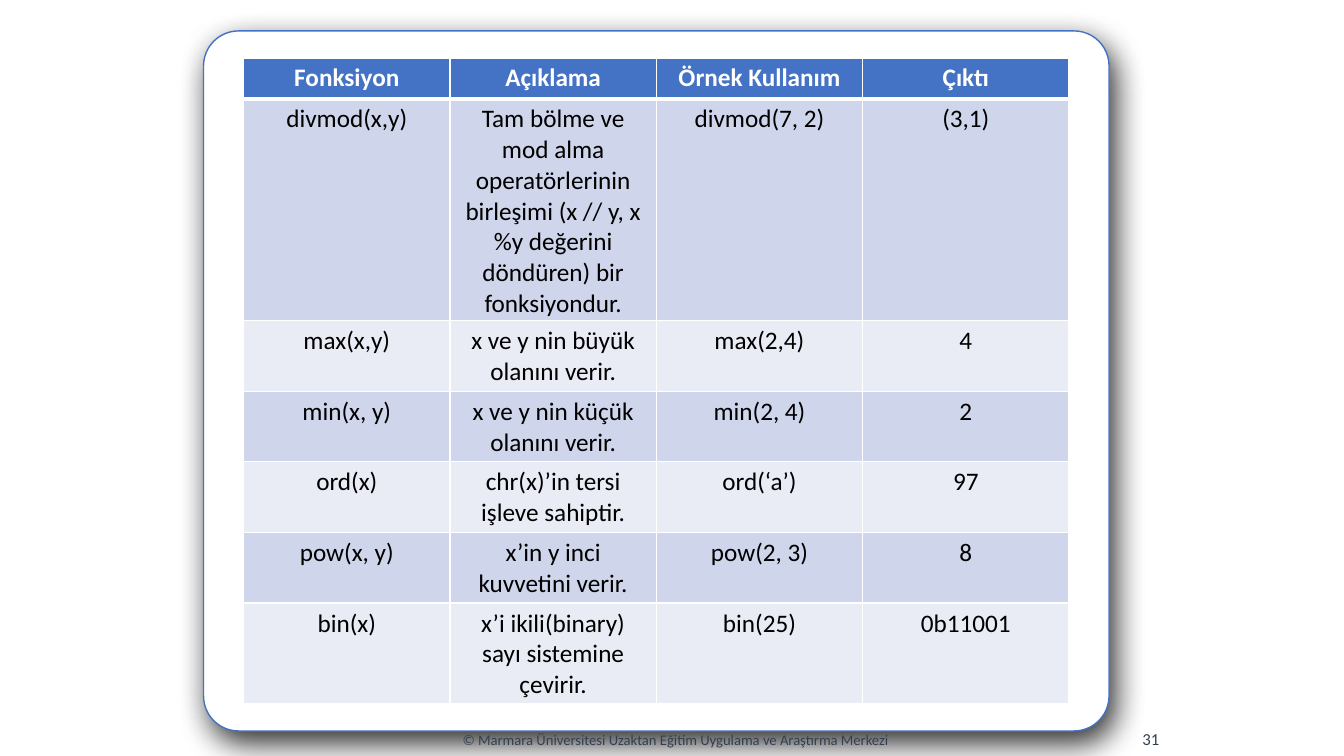
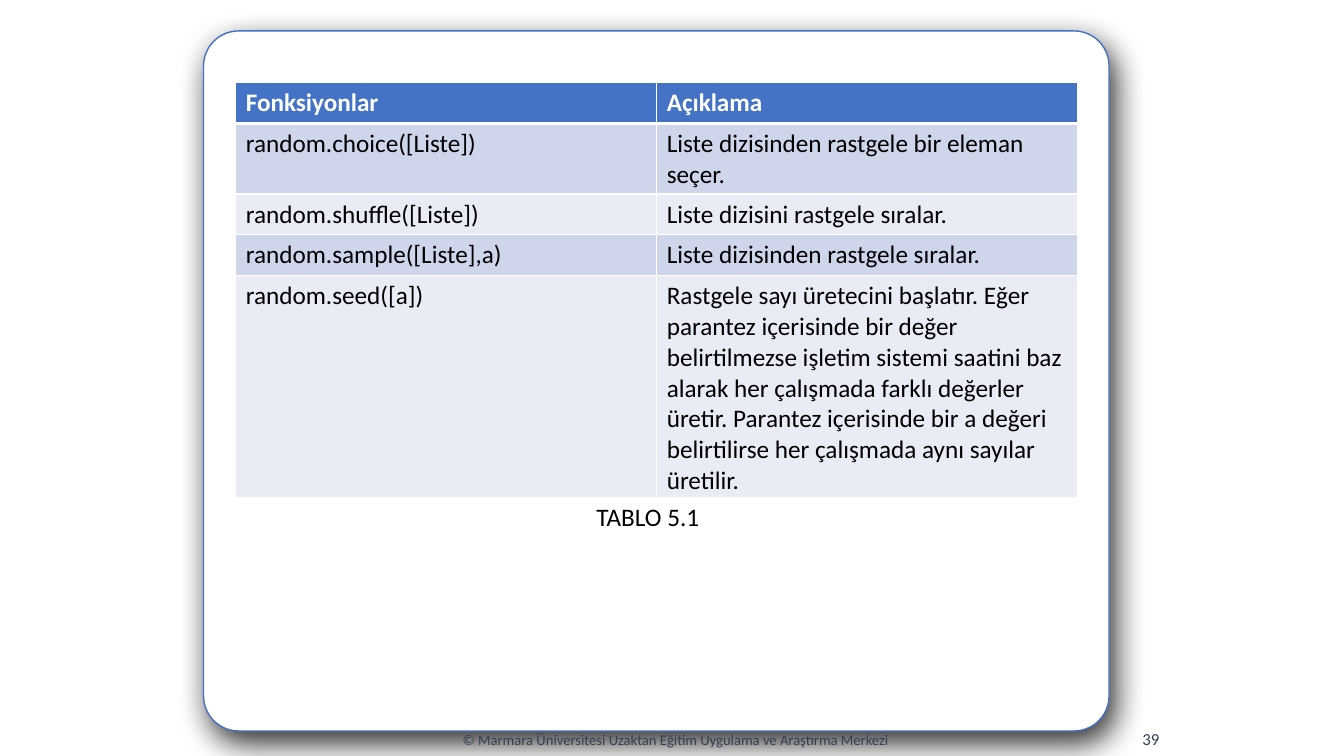
from dataclasses import dataclass

from lxml.etree import SubElement
from pptx import Presentation
from pptx.dml.color import RGBColor
from pptx.enum.shapes import MSO_SHAPE
from pptx.enum.text import MSO_ANCHOR, PP_ALIGN
from pptx.oxml.ns import qn
from pptx.slide import Slide
from pptx.table import _Cell
from pptx.text.text import _Paragraph
from pptx.util import Cm, Pt


@dataclass(frozen=True)
class Theme:
    font: str = "Calibri"
    white: str = "FFFFFF"
    black: str = "000000"
    accent: str = "4472C4"
    footer: str = "333F50"
    bands: tuple[str, str] = ("CFD5EA", "E9EBF5")
    body_size: float = 18
    number_size: float = 12
    footer_size: float = 10.5
    rule: float = 1
    header_rule: float = 3


@dataclass(frozen=True)
class Box:
    """Left, top, width and height in centimetres."""
    left: float
    top: float
    width: float
    height: float

    def lengths(self) -> tuple[Cm, Cm, Cm, Cm]:
        return Cm(self.left), Cm(self.top), Cm(self.width), Cm(self.height)


@dataclass(frozen=True)
class Label:
    box: Box
    text: str
    size: float
    color: str
    align: PP_ALIGN = PP_ALIGN.LEFT
    anchor: MSO_ANCHOR = MSO_ANCHOR.TOP


@dataclass(frozen=True)
class FunctionTable:
    box: Box
    rows: tuple[tuple[str, ...], ...]
    align: PP_ALIGN


@dataclass(frozen=True)
class Page:
    number: int
    table: FunctionTable
    labels: tuple[Label, ...] = ()


THEME = Theme()
ROW_HEIGHT = Cm(1.03)
PANEL = Box(5.13, 0.78, 22.82, 17.64)
FOOTER = Label(
    Box(9.53, 18.14, 15, 1.01),
    "© Marmara Üniversitesi Uzaktan Eğitim Uygulama ve Araştırma Merkezi",
    THEME.footer_size, THEME.footer, PP_ALIGN.CENTER, MSO_ANCHOR.MIDDLE)
NUMBER_BOX = Box(23.55, 18.12, 5.92, 1.01)

PAGES = (
    Page(31, FunctionTable(Box(6.14, 1.46, 20.8, 16.28), (
        ("Fonksiyon", "Açıklama", "Örnek Kullanım", "Çıktı"),
        ("divmod(x,y)",
         "Tam bölme ve mod alma operatörlerinin birleşimi "
         "(x // y, x %y değerini döndüren) bir fonksiyondur.",
         "divmod(7, 2)", "(3,1)"),
        ("max(x,y)", "x ve y nin büyük olanını verir.", "max(2,4)", "4"),
        ("min(x, y)", "x ve y nin küçük olanını verir.", "min(2, 4)", "2"),
        ("ord(x)", "chr(x)’in tersi işleve sahiptir.", "ord(‘a’)", "97"),
        ("pow(x, y)", "x’in y inci kuvvetini verir.", "pow(2, 3)", "8"),
        ("bin(x)", "x’i ikili(binary) sayı sistemine çevirir.",
         "bin(25)", "0b11001"),
    ), PP_ALIGN.CENTER)),
    Page(39, FunctionTable(Box(5.94, 2.08, 21.22, 10.46), (
        ("Fonksiyonlar", "Açıklama"),
        ("random.choice([Liste])",
         "Liste dizisinden rastgele bir eleman seçer."),
        ("random.shuffle([Liste])", "Liste dizisini rastgele sıralar."),
        ("random.sample([Liste],a)", "Liste dizisinden rastgele sıralar."),
        ("random.seed([a])",
         "Rastgele sayı üretecini başlatır. Eğer parantez içerisinde bir değer "
         "belirtilmezse işletim sistemi saatini baz alarak her çalışmada farklı "
         "değerler üretir. Parantez içerisinde bir a değeri belirtilirse her "
         "çalışmada aynı sayılar üretilir."),
    ), PP_ALIGN.LEFT), (
        Label(Box(14.78, 12.52, 3.48, 1.03), "TABLO 5.1",
              THEME.body_size, THEME.black),
    )),
)


def add_run(paragraph: _Paragraph, text: str, size: float, color: str,
            bold: bool = False) -> None:
    run = paragraph.add_run()
    run.text = text
    run.font.name = THEME.font
    run.font.size = Pt(size)
    run.font.bold = bold
    run.font.color.rgb = RGBColor.from_string(color)


def add_label(slide: Slide, label: Label) -> None:
    frame = slide.shapes.add_textbox(*label.box.lengths()).text_frame
    frame.word_wrap = True
    frame.vertical_anchor = label.anchor
    paragraph = frame.paragraphs[0]
    paragraph.alignment = label.align
    add_run(paragraph, label.text, label.size, label.color)


def add_panel(slide: Slide) -> None:
    """Draw the rounded white panel with its soft shadow."""
    panel = slide.shapes.add_shape(MSO_SHAPE.ROUNDED_RECTANGLE, *PANEL.lengths())
    panel.adjustments[0] = 0.05
    panel.fill.solid()
    panel.fill.fore_color.rgb = RGBColor.from_string(THEME.white)
    panel.line.color.rgb = RGBColor.from_string(THEME.accent)
    panel.line.width = Pt(THEME.rule)
    panel.shadow.inherit = False
    effects = panel.element.spPr.find(qn("a:effectLst"))
    shadow = SubElement(effects, qn("a:outerShdw"), blurRad=str(Pt(23)),
                        dist=str(Pt(9)), dir=str(64 * 60000),
                        algn="tl", rotWithShape="0")
    color = SubElement(shadow, qn("a:srgbClr"), val=THEME.black)
    SubElement(color, qn("a:alpha"), val="81000")


def set_borders(cell: _Cell, top: float, bottom: float) -> None:
    """Give a cell white borders; call before the fill, which must follow them."""
    properties = cell._tc.get_or_add_tcPr()
    widths = {"L": THEME.rule, "R": THEME.rule, "T": top, "B": bottom}
    for side, width in widths.items():
        line = SubElement(properties, qn(f"a:ln{side}"), w=str(Pt(width)))
        fill = SubElement(line, qn("a:solidFill"))
        SubElement(fill, qn("a:srgbClr"), val=THEME.white)


def add_function_table(slide: Slide, content: FunctionTable) -> None:
    table = slide.shapes.add_table(len(content.rows), len(content.rows[0]),
                                   *content.box.lengths()).table
    for row_index, texts in enumerate(content.rows):
        # Rows grow from this least height to fit their text.
        table.rows[row_index].height = ROW_HEIGHT
        header = row_index == 0
        background = THEME.accent if header else THEME.bands[(row_index - 1) % 2]
        for column_index, text in enumerate(texts):
            cell = table.cell(row_index, column_index)
            set_borders(cell,
                        top=THEME.header_rule if row_index == 1 else THEME.rule,
                        bottom=THEME.header_rule if header else THEME.rule)
            cell.fill.solid()
            cell.fill.fore_color.rgb = RGBColor.from_string(background)
            paragraph = cell.text_frame.paragraphs[0]
            paragraph.alignment = content.align
            add_run(paragraph, text, THEME.body_size,
                    THEME.white if header else THEME.black, bold=header)


def main() -> None:
    presentation = Presentation()
    presentation.slide_width = Cm(33.87)
    presentation.slide_height = Cm(19.05)
    blank = presentation.slide_layouts[6]
    for page in PAGES:
        slide = presentation.slides.add_slide(blank)
        add_panel(slide)
        add_label(slide, FOOTER)
        add_label(slide, Label(NUMBER_BOX, str(page.number), THEME.number_size,
                               THEME.footer, PP_ALIGN.RIGHT, MSO_ANCHOR.MIDDLE))
        add_function_table(slide, page.table)
        for label in page.labels:
            add_label(slide, label)
    presentation.save("out.pptx")


if __name__ == "__main__":
    main()
